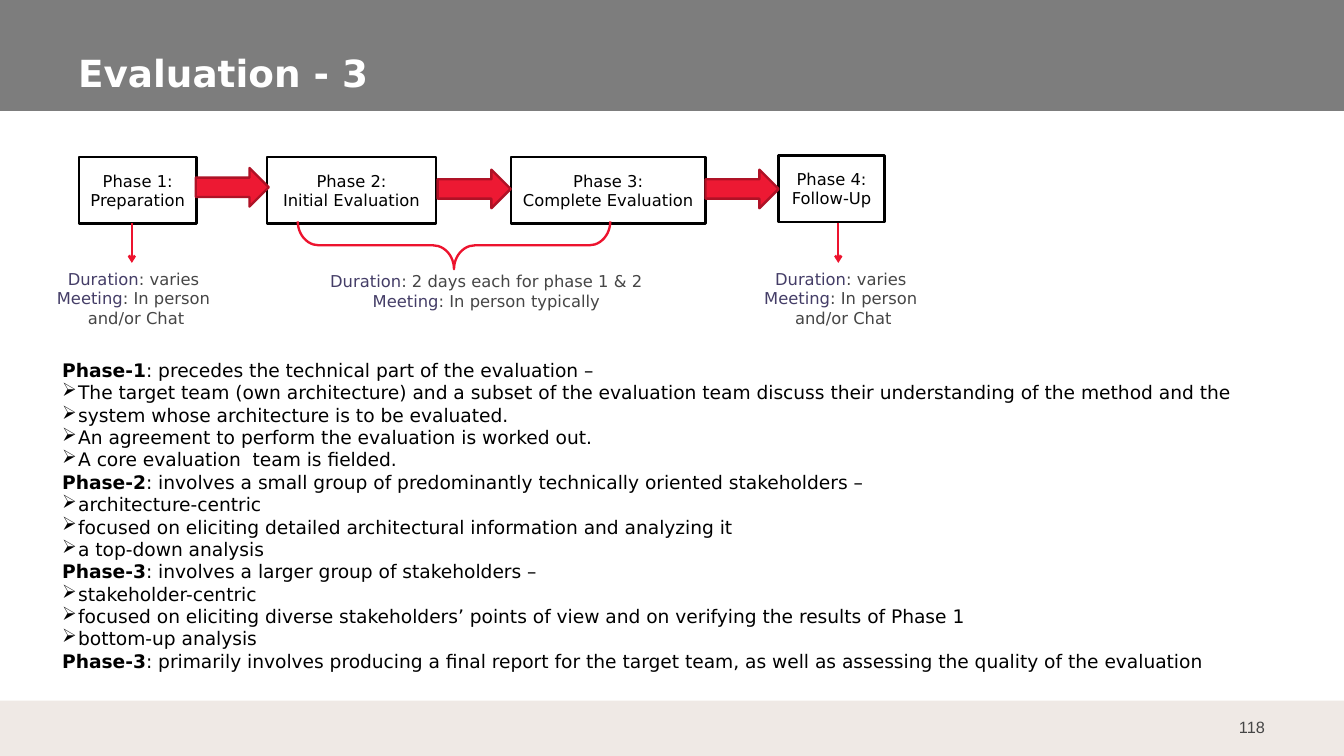
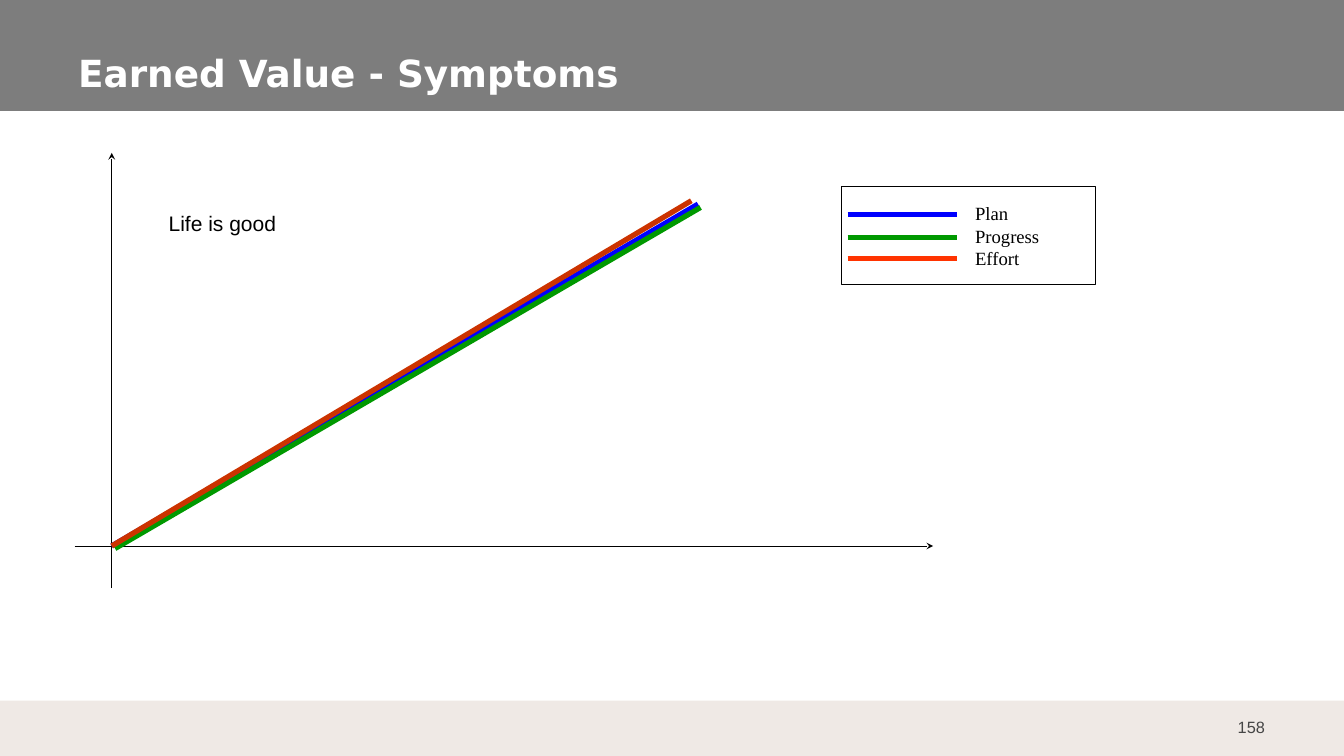
from lxml.etree import SubElement
from pptx import Presentation
from pptx.dml.color import RGBColor
from pptx.enum.shapes import MSO_CONNECTOR, MSO_SHAPE
from pptx.enum.text import MSO_ANCHOR, MSO_AUTO_SIZE, PP_ALIGN
from pptx.oxml.ns import qn
from pptx.util import Inches, Pt


def rgb(color):
    return RGBColor.from_string(color)


class Deck:
    """Shared style and the slide being built."""
    BLACK, WHITE, GREY = "000000", "FFFFFF", "464646"
    HEADER, FOOTER = "7D7D7D", "EFE9E5"
    RED, DARK_RED, LINE_RED, PURPLE = "ED1933", "AF1226", "ED132E", "443D67"
    SANS, ARIAL, SERIF = "DejaVu Sans", "Arial", "Times New Roman"

    def __init__(self):
        self.prs = Presentation()
        self.prs.slide_width, self.prs.slide_height = Inches(16), Inches(9)
        self.slide = None

    def new_slide(self, heading, number):
        """Bands, page number and title."""
        self.slide = self.prs.slides.add_slide(self.prs.slide_layouts[5])
        self.shape(MSO_SHAPE.RECTANGLE, 0, 0, 16, 1.32, fill=self.HEADER)
        self.shape(MSO_SHAPE.RECTANGLE, 0, 8.34, 16, 0.66, fill=self.FOOTER)
        self.text(14.4, 8.42, 0.8, 0.48, [[(number, self.GREY, False)]],
                  14, self.ARIAL, align=PP_ALIGN.RIGHT,
                  anchor=MSO_ANCHOR.MIDDLE, insets=(0.14, 0.07))
        title = self.slide.shapes.title
        title.left, title.top = Inches(0.79), Inches(0.46)
        title.width, title.height = Inches(14.21), Inches(0.74)
        self.fill_text(title.text_frame, [[(heading, self.WHITE, True)]], 32,
                       self.SANS, anchor=MSO_ANCHOR.BOTTOM, insets=(0.14, 0.07))
        # The title stands in front of the header band
        self.slide.shapes._spTree.append(title._element)

    def fill_text(self, frame, paragraphs, size, font, align=PP_ALIGN.LEFT,
                  anchor=MSO_ANCHOR.TOP, insets=(0.1, 0.05), wrap=True):
        """Each paragraph is a list of (text, colour, bold) runs."""
        frame.auto_size = MSO_AUTO_SIZE.NONE
        frame.word_wrap = wrap
        frame.vertical_anchor = anchor
        frame.margin_left = frame.margin_right = Inches(insets[0])
        frame.margin_top = frame.margin_bottom = Inches(insets[1])
        for index, runs in enumerate(paragraphs):
            paragraph = frame.add_paragraph() if index else frame.paragraphs[0]
            paragraph.alignment = align
            for words, color, bold in runs:
                run = paragraph.add_run()
                run.text = words
                run.font.name, run.font.size = font, Pt(size)
                run.font.bold = bold
                run.font.color.rgb = rgb(color)

    def text(self, left, top, width, height, paragraphs, size, font, **style):
        box = self.slide.shapes.add_textbox(
            Inches(left), Inches(top), Inches(width), Inches(height))
        self.fill_text(box.text_frame, paragraphs, size, font, **style)
        return box

    def shape(self, kind, left, top, width, height, fill=None, line=None,
              weight=2):
        shape = self.slide.shapes.add_shape(
            kind, Inches(left), Inches(top), Inches(width), Inches(height))
        shape.shadow.inherit = False
        if fill:
            shape.fill.solid()
            shape.fill.fore_color.rgb = rgb(fill)
        else:
            shape.fill.background()
        if line:
            shape.line.color.rgb = rgb(line)
            shape.line.width = Pt(weight)
        else:
            shape.line.fill.background()
        return shape

    def line(self, start, end, color, weight, arrow=None):
        line = self.slide.shapes.add_connector(
            MSO_CONNECTOR.STRAIGHT, *map(Inches, start + end))
        line.line.color.rgb = rgb(color)
        line.line.width = Pt(weight)
        if arrow:
            SubElement(line.line._get_or_add_ln(), qn("a:tailEnd"), type=arrow)
        SubElement(line._element.spPr, qn("a:effectLst"))

    def indent(self, paragraph, left, first=0, bullet=None):
        props = paragraph._p.get_or_add_pPr()
        props.set("marL", str(Inches(left)))
        props.set("indent", str(Inches(first)))
        if bullet:
            SubElement(props, qn("a:buChar"), char=bullet)

    def phase(self, left, top, width, lines):
        box = self.shape(MSO_SHAPE.RECTANGLE, left, top, width, 0.79,
                         self.WHITE, self.BLACK)
        self.fill_text(box.text_frame,
                       [[(words, self.BLACK, False)] for words in lines],
                       14, self.SANS, PP_ALIGN.CENTER, MSO_ANCHOR.MIDDLE)

    def phase_note(self, left, top, width, duration, meeting, more=None):
        paragraphs = [
            [(label, self.PURPLE, False), (": " + value, self.GREY, False)]
            for label, value in (("Duration", duration), ("Meeting", meeting))]
        if more:
            paragraphs.append([(more, self.GREY, False)])
        self.text(left, top, width, 0.63, paragraphs, 14, self.SANS,
                  align=PP_ALIGN.CENTER, insets=(0, 0), wrap=False)


def evaluation(deck):
    deck.new_slide("Evaluation - 3", "118")

    # Phase boxes and the arrows between them
    for left, top, width, number, name in (
            (0.94, 1.87, 1.4, 1, "Preparation"),
            (3.18, 1.87, 2.01, 2, "Initial Evaluation"),
            (6.08, 1.87, 2.32, 3, "Complete Evaluation"),
            (9.27, 1.85, 1.26, 4, "Follow-Up")):
        deck.phase(left, top, width, (f"Phase {number}:", name))
    for left, top in ((2.33, 2), (5.21, 2.02), (8.4, 2.02)):
        deck.shape(MSO_SHAPE.RIGHT_ARROW, left, top, 0.87, 0.46,
                   deck.RED, deck.DARK_RED)

    # Duration and meeting notes
    for left, width, arrow_x in ((0.84, 1.5, 1.57), (9.08, 1.86, 9.98)):
        deck.phase_note(left, 3.2, width, "varies", "In person", " and/or Chat")
        deck.line((arrow_x, 2.65), (arrow_x, 3.13), deck.LINE_RED, 2, "arrow")
    deck.phase_note(3.18, 3.23, 5.22, "2 days each for phase 1 & 2",
                    "In person typically")
    brace = deck.shape(MSO_SHAPE.LEFT_BRACE, 5.12, 1.06, 0.57, 3.72,
                       line=deck.LINE_RED)
    brace.rotation = 270
    brace.adjustments[0], brace.adjustments[1] = 0.44, 0.5

    # Phase descriptions
    descriptions = (
        ("Phase-1", ": precedes the technical part of the evaluation –", (
            "The target team (own architecture) and a subset of the evaluation "
            "team discuss their understanding of the method and the",
            "system whose architecture is to be evaluated.",
            "An agreement to perform the evaluation is worked out.",
            "A core evaluation  team is fielded.")),
        ("Phase-2", ": involves a small group of predominantly technically "
                    "oriented stakeholders –", (
            "architecture-centric",
            "focused on eliciting detailed architectural information and analyzing it",
            "a top-down analysis")),
        ("Phase-3", ": involves a larger group of stakeholders –", (
            "stakeholder-centric",
            "focused on eliciting diverse stakeholders’ points of view and on "
            "verifying the results of Phase 1",
            "bottom-up analysis")),
        ("Phase-3", ": primarily involves producing a final report for the target "
                    "team, as well as assessing the quality of the evaluation", ()))
    paragraphs = []
    for name, summary, points in descriptions:
        paragraphs.append([(name, deck.BLACK, True), (summary, deck.BLACK, False)])
        paragraphs += [[(point, deck.BLACK, False)] for point in points]
    body = deck.text(0.74, 4.27, 14.79, 3.9, paragraphs, 16, deck.SANS,
                     insets=(0, 0))
    for paragraph in body.text_frame.paragraphs:
        if len(paragraph.runs) == 1:
            deck.indent(paragraph, 0.19, -0.19, "➢")


def earned_value(deck):
    deck.new_slide("Earned Value - Symptoms", "158")
    blue, green, rust, orange = "0000FF", "009900", "CC3300", "FF3300"

    # Axes
    deck.line((1.33, 7), (1.33, 1.82), deck.BLACK, 0.75, "stealth")
    deck.line((0.89, 6.5), (11.11, 6.5), deck.BLACK, 0.75, "stealth")

    # Plan, progress and effort
    for start, end, color in (((1.33, 6.5), (8.31, 2.43), blue),
                              ((1.37, 6.53), (8.34, 2.47), green),
                              ((1.33, 6.5), (8.23, 2.39), rust)):
        deck.line(start, end, color, 4.5)
    deck.text(1.91, 2.46, 1.97, 0.4, [[("Life is good", deck.BLACK, False)]],
              18, deck.ARIAL, wrap=False)

    # Legend
    entries = (("Plan", 2.55, blue), ("Progress", 2.83, green),
               ("Effort", 3.08, orange))
    legend = deck.shape(MSO_SHAPE.RECTANGLE, 10.02, 2.22, 3.02, 1.17,
                        line=deck.BLACK, weight=1)
    deck.fill_text(legend.text_frame,
                   [[(name, deck.BLACK, False)] for name, _, _ in entries],
                   16, deck.SERIF, anchor=MSO_ANCHOR.MIDDLE)
    for paragraph in legend.text_frame.paragraphs:
        deck.indent(paragraph, 1.49)
    for _, y, color in entries:
        deck.line((10.09, y), (11.39, y), color, 4.5)


def main():
    deck = Deck()
    evaluation(deck)
    earned_value(deck)
    deck.prs.save("out.pptx")


if __name__ == "__main__":
    main()
